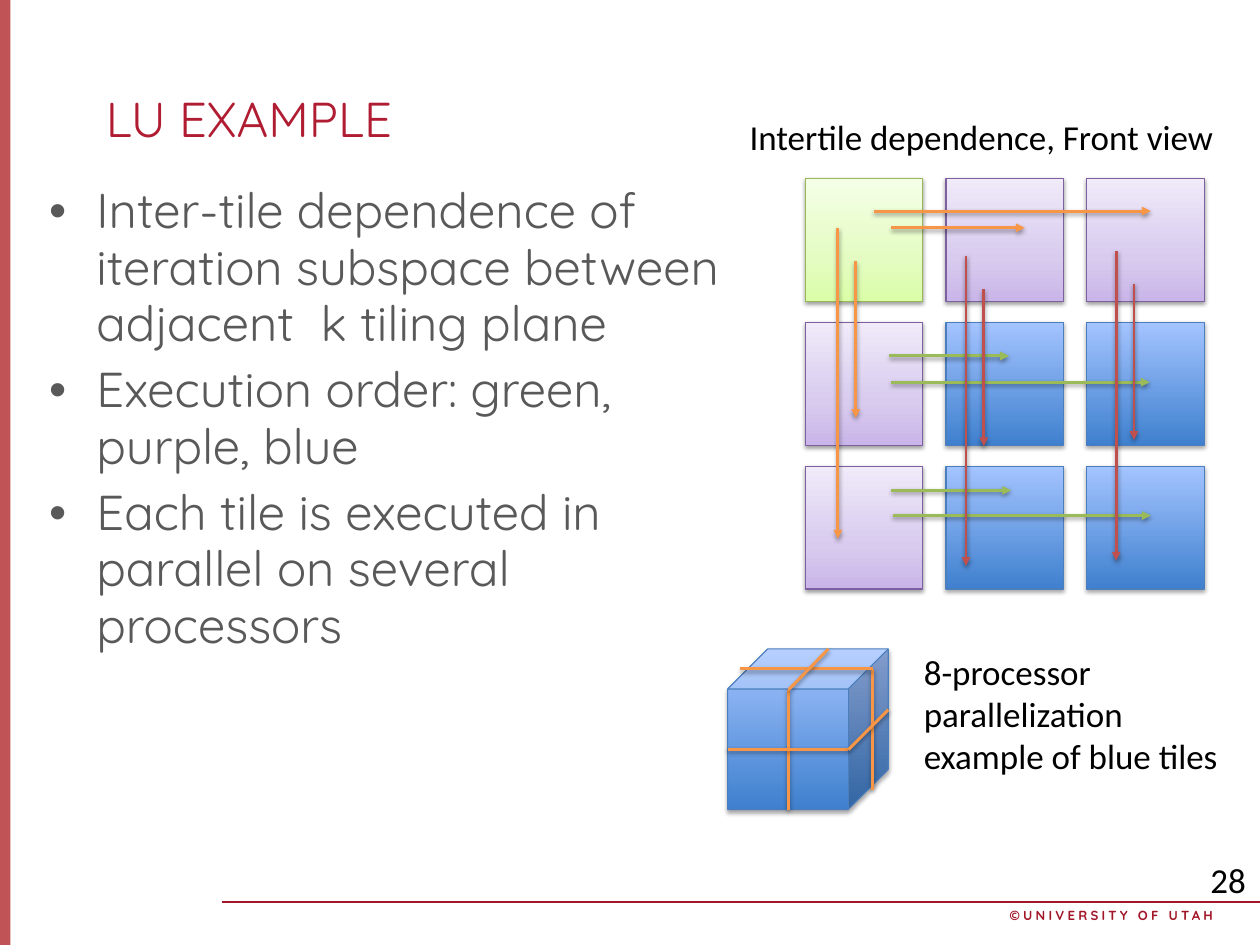
from lxml.etree import SubElement
from pptx import Presentation
from pptx.dml.color import RGBColor
from pptx.enum.shapes import MSO_CONNECTOR, MSO_SHAPE
from pptx.enum.text import MSO_ANCHOR, MSO_AUTO_SIZE, PP_ALIGN
from pptx.oxml.ns import qn
from pptx.util import Inches, Pt

ORANGE, GREEN, RED, CRIMSON = "F79646", "9BBB59", "C0504D", "A21727"

# Tile styles: gradient stops from bottom to top, outline, shadow opacity
GREEN_TILE = ([(0, "DAFDA7"), (35, "E4FCC2"), (100, "F5FFE7")], "98B955", 38)
PURPLE_TILE = ([(0, "C9B5E8"), (35, "D8CBEE"), (100, "F0EAF9")], "7D60A0", 38)
BLUE_TILE = ([(0, "3F80CE"), (100, "A4C4FF")], "4B7EBC", 35)

# Dependences: start x, start y, length
ROW_ARROWS = {
    ORANGE: [(8.32, 2.01, 2.64), (8.49, 2.17, 1.27)],
    GREEN: [(8.5, 4.91, 2.46), (8.49, 4.67, 1.14),
            (8.49, 3.64, 2.46), (8.47, 3.39, 1.14)],
}
COLUMN_ARROWS = {
    ORANGE: [(8.15, 2.49, 1.49), (7.98, 2.17, 2.96)],
    RED: [(9.37, 2.75, 1.5), (9.2, 2.44, 2.95),
          (10.8, 2.7, 1.49), (10.63, 2.39, 2.95)],
}

# Cuts that split the cube into eight parts
CUBE_CUTS = [
    (7.51, 6.57, 7.51, 7.71), (6.93, 7.14, 8.08, 7.14),
    (8.31, 6.37, 8.31, 7.52), (7.05, 6.37, 8.31, 6.37),
    (7.89, 6.18, 7.51, 6.57), (8.46, 6.76, 8.08, 7.14),
]

BULLETS = [
    "Inter-tile dependence of iteration subspace between adjacent  k tiling plane",
    "Execution order: green, purple, blue",
    "Each tile is executed in parallel on several processors",
]


def rgb(value):
    return RGBColor.from_string(value)


def add_color(parent, value, opacity=None):
    color = SubElement(parent, qn("a:srgbClr"), val=value)
    if opacity is not None:
        SubElement(color, qn("a:alpha"), val=str(opacity * 1000))


def add_shadow(shape, opacity, distance=1.6):
    effects = SubElement(shape._element.spPr, qn("a:effectLst"))
    shadow = SubElement(effects, qn("a:outerShdw"), blurRad=str(Pt(3.1)),
                        dist=str(Pt(distance)), dir="5400000", rotWithShape="0")
    add_color(shadow, "000000", opacity)


def add_block(slide, kind, left, top, width, height, style):
    stops, outline, opacity = style
    block = slide.shapes.add_shape(kind, Inches(left), Inches(top),
                                   Inches(width), Inches(height))
    block.fill.gradient()
    block.fill.gradient_angle = 90
    stop_list = block._element.spPr.find(".//" + qn("a:gsLst"))
    stop_list.clear()
    for position, value in stops:
        add_color(SubElement(stop_list, qn("a:gs"), pos=str(position * 1000)), value)
    block.line.color.rgb = rgb(outline)
    block.line.width = Pt(0.75)
    add_shadow(block, opacity, 1.8 if style is BLUE_TILE else 1.6)


def add_line(slide, x1, y1, x2, y2, color, width=2, arrow=False, shadow=True):
    line = slide.shapes.add_connector(MSO_CONNECTOR.STRAIGHT, Inches(x1),
                                      Inches(y1), Inches(x2), Inches(y2))
    line.line.color.rgb = rgb(color)
    line.line.width = Pt(width)
    if arrow:
        SubElement(line.line._get_or_add_ln(), qn("a:tailEnd"), type="triangle")
    if shadow:
        add_shadow(line, 38)
    else:
        SubElement(line._element.spPr, qn("a:effectLst"))


def add_text(slide, left, top, width, height, text, size, color="000000",
             font="Calibri", wrap=True):
    box = slide.shapes.add_textbox(Inches(left), Inches(top),
                                   Inches(width), Inches(height))
    frame = box.text_frame
    frame.text = text
    frame.word_wrap = wrap
    frame.auto_size = MSO_AUTO_SIZE.NONE
    for paragraph in frame.paragraphs:
        for run in paragraph.runs:
            run.font.size = Pt(size)
            run.font.name = font
            run.font.color.rgb = rgb(color)
    return frame


def add_bullets(frame):
    for index, paragraph in enumerate(frame.paragraphs):
        paragraph.line_spacing = 0.96
        if index:
            paragraph.space_before = Pt(6.7)
        properties = paragraph._p.get_or_add_pPr()
        properties.set("marL", str(Inches(0.45)))
        properties.set("indent", str(Inches(-0.45)))
        SubElement(properties, qn("a:buFont"), typeface="Arial")
        SubElement(properties, qn("a:buChar"), char="•")


def add_frame(slide):
    # Side bar, footer rule, copyright and page number
    bar = slide.shapes.add_shape(MSO_SHAPE.RECTANGLE, 0, 0, Inches(0.1), Inches(9))
    bar.shadow.inherit = False
    bar.fill.solid()
    bar.fill.fore_color.rgb = rgb("AF282C")
    bar.line.fill.background()
    color = bar._element.spPr.find(qn("a:solidFill")).find(qn("a:srgbClr"))
    SubElement(color, qn("a:alpha"), val="80000")
    add_line(slide, 2.11, 8.59, 12, 8.59, CRIMSON, width=1, shadow=False)
    footer = add_text(slide, 8.58, 8.59, 3.07, 0.25, "©UNIVERSITY OF UTAH",
                      9, CRIMSON, "Quicksand").paragraphs[0]
    footer.alignment = PP_ALIGN.RIGHT
    footer.runs[0].font.bold = True
    footer.runs[0]._r.get_or_add_rPr().set("spc", "220")
    add_text(slide, 11.43, 8.13, 0.6, 0.5, "28", 24, wrap=False)


def add_tiles(slide):
    # First tile green, rest of first row and column purple, others blue
    for row in range(3):
        for column in range(3):
            if row and column:
                style = BLUE_TILE
            else:
                style = PURPLE_TILE if row or column else GREEN_TILE
            add_block(slide, MSO_SHAPE.RECTANGLE, 7.67 + 1.34 * column,
                      1.7 + 1.37 * row, 1.12, 1.17, style)


def add_dependences(slide):
    for color, arrows in ROW_ARROWS.items():
        for x, y, length in arrows:
            add_line(slide, x, y, x + length, y, color, arrow=True)
    for color, arrows in COLUMN_ARROWS.items():
        for x, y, length in arrows:
            add_line(slide, x, y, x, y + length, color, arrow=True)


def add_cube(slide):
    add_block(slide, MSO_SHAPE.CUBE, 6.93, 6.18, 1.53, 1.53, BLUE_TILE)
    for cut in CUBE_CUTS:
        add_line(slide, *cut, ORANGE)


def main():
    presentation = Presentation()
    presentation.slide_width = Inches(12)
    presentation.slide_height = Inches(9)
    slide = presentation.slides.add_slide(presentation.slide_layouts[6])

    add_frame(slide)

    # Title and bullets
    title = add_text(slide, 0.91, 0.76, 10.49, 0.72, "LU EXAMPLE", 33.6,
                     "B01C32", "Quicksand")
    title.vertical_anchor = MSO_ANCHOR.MIDDLE
    add_bullets(add_text(slide, 0.37, 1.7, 6.81, 5.85, "\n".join(BULLETS), 33.6,
                         "595959", "Quicksand"))

    # Front view of the tiles
    add_tiles(slide)
    add_dependences(slide)
    add_text(slide, 7.04, 1.05, 4.67, 0.5, "Intertile dependence, Front view",
             24, wrap=False)

    # Blue tile split over eight processors
    add_cube(slide)
    add_text(slide, 8.7, 6.15, 3.1, 1.31,
             "8-processor\nparallelization\nexample of blue tiles", 24)

    presentation.save("out.pptx")


if __name__ == "__main__":
    main()
